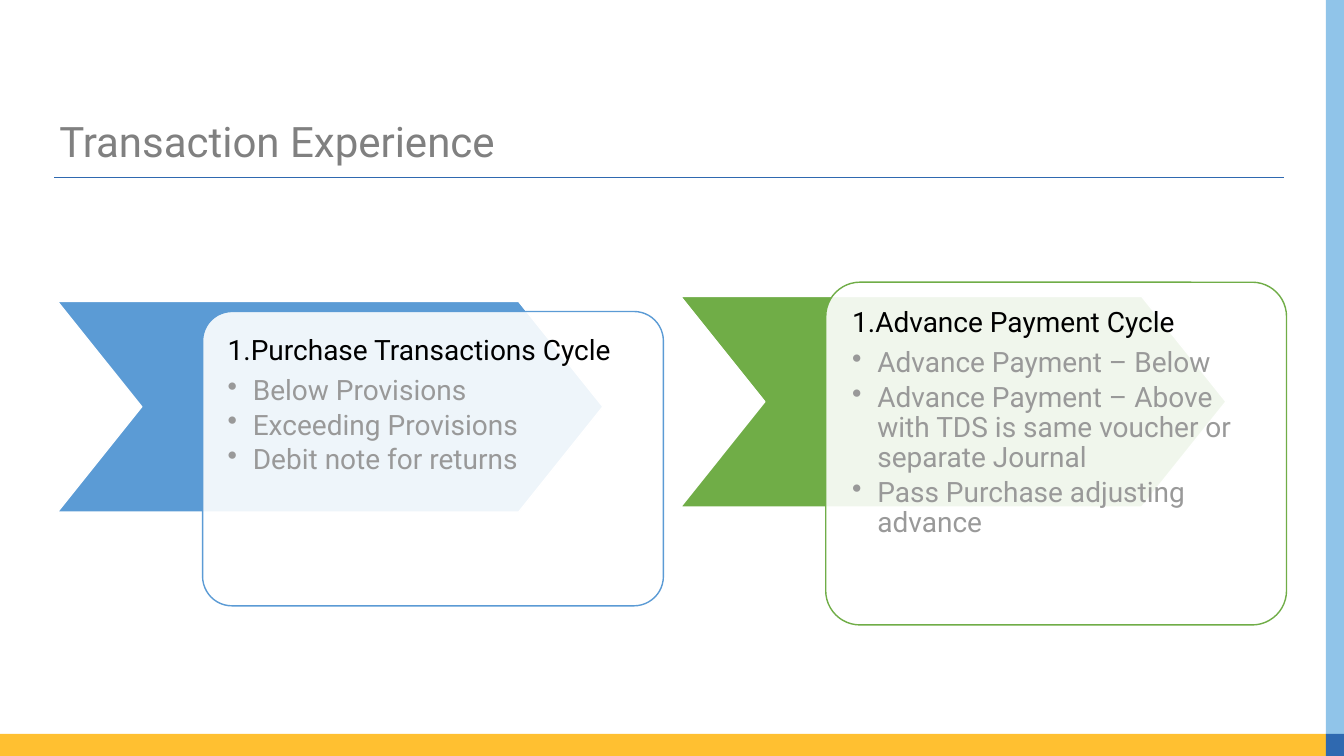
from pptx import Presentation
from pptx.dml.color import RGBColor as RGB
from pptx.enum.shapes import MSO_CONNECTOR as LINK, MSO_SHAPE as KIND
from pptx.enum.text import MSO_ANCHOR as ANCHOR
from pptx.oxml.ns import qn
from pptx.util import Inches as In, Pt
from lxml.etree import SubElement as Sub

INK = {"gold": "FFC031", "sky": "90C4E9", "navy": "2F69B0", "gray": "808080",
       "blue": "5B9BD5", "green": "70AD47", "white": "FFFFFF",
       "black": "000000", "pale": "999999"}
W, H = 13.33, 7.5
BAR = 0.22          # thickness of the bottom band
EDGE = 13.15        # left side of the right band
STEP = 1.44         # card offset from its chevron
CARD = 4.57         # card width

deck = Presentation()
deck.slide_width, deck.slide_height = In(W), In(H)
page = deck.slides.add_slide(deck.slide_layouts[6]).shapes


def shape(kind, x, y, w, h, fill, line=None, adj=None):
    item = page.add_shape(kind, In(x), In(y), In(w), In(h))
    item.shadow.inherit = False
    item.fill.solid()
    item.fill.fore_color.rgb = RGB.from_string(INK[fill])
    if line:
        item.line.color.rgb = RGB.from_string(INK[line])
        item.line.width = Pt(1)
    else:
        item.line.fill.background()
    if adj:
        item.adjustments[0] = adj
    return item


def write(lines, x, y, w, h, size=20, pad=0.16, anchor=ANCHOR.TOP):
    """Each line is (text, colour, space after, bullet tag, bullet settings)."""
    frame = page.add_textbox(In(x), In(y), In(w), In(h)).text_frame
    frame.word_wrap = True
    frame.vertical_anchor = anchor
    frame.margin_left = frame.margin_right = In(pad)
    frame.margin_top = frame.margin_bottom = In(min(pad, 0.16))
    for i, (text, ink, after, tag, marks) in enumerate(lines):
        para = frame.paragraphs[0] if i == 0 else frame.add_paragraph()
        para.line_spacing = 0.9
        para.space_after = Pt(after)
        run = para.add_run()
        run.text = text
        run.font.name, run.font.size = "Roboto", Pt(size)
        run.font.color.rgb = RGB.from_string(INK[ink])
        if tag:
            prop = para._p.get_or_add_pPr()
            dent = In(0.25) if tag == "a:buChar" else 0
            prop.set("marL", str(dent))
            prop.set("indent", str(-dent))
            Sub(prop, qn(tag), marks)


# Frame bands
shape(KIND.RECTANGLE, 0, H - BAR, EDGE, BAR, "gold")
shape(KIND.RECTANGLE, EDGE, 0, W - EDGE, H - BAR, "sky")
shape(KIND.RECTANGLE, EDGE, H - BAR, W - EDGE, BAR, "navy")

# Title and rule
rule = page.add_connector(LINK.STRAIGHT, In(0.54), In(1.76), In(12.73), In(1.76))
rule.line.color.rgb = RGB.from_string(INK["navy"])
rule.line.width = Pt(0.82)
Sub(rule._element.spPr, qn("a:effectLst"))
write([("Transaction Experience", "gray", 0, None, None)],
      0.49, 1.18, 12.2, 0.5, size=30, pad=0.1, anchor=ANCHOR.MIDDLE)

# Cycles: chevron, card over it, list on the card
cycles = [
    (0.57, 2.99, 3.09, 2.92, "blue", "Purchase Transactions Cycle",
     ["Below Provisions", "Exceeding Provisions", "Debit note for returns"]),
    (6.75, 2.94, 2.8, 3.4, "green", "Advance Payment Cycle",
     ["Advance Payment – Below",
      "Advance Payment – Above with TDS is same voucher or separate Journal",
      "Pass Purchase adjusting advance"]),
]
for x, y, top, tall, ink, head, points in cycles:
    shape(KIND.CHEVRON, x, y, 5.41, 2.09, ink, "white", 0.4)
    left = x + STEP
    card = shape(KIND.ROUNDED_RECTANGLE, left, top, CARD, tall, "white", ink, 0.1)
    tint = card._element.spPr.find(qn("a:solidFill"))[0]
    Sub(tint, qn("a:alpha"), val="90000")
    gap = 0.03 * tall   # keeps text clear of the round corners
    lines = [(head, "black", 7, "a:buAutoNum", {"type": "arabicPeriod"})]
    lines += [(text, "pale", 3, "a:buChar", {"char": "•"}) for text in points]
    write(lines, left + gap, top + gap, CARD - 2 * gap, tall - 2 * gap)

deck.save("out.pptx")
